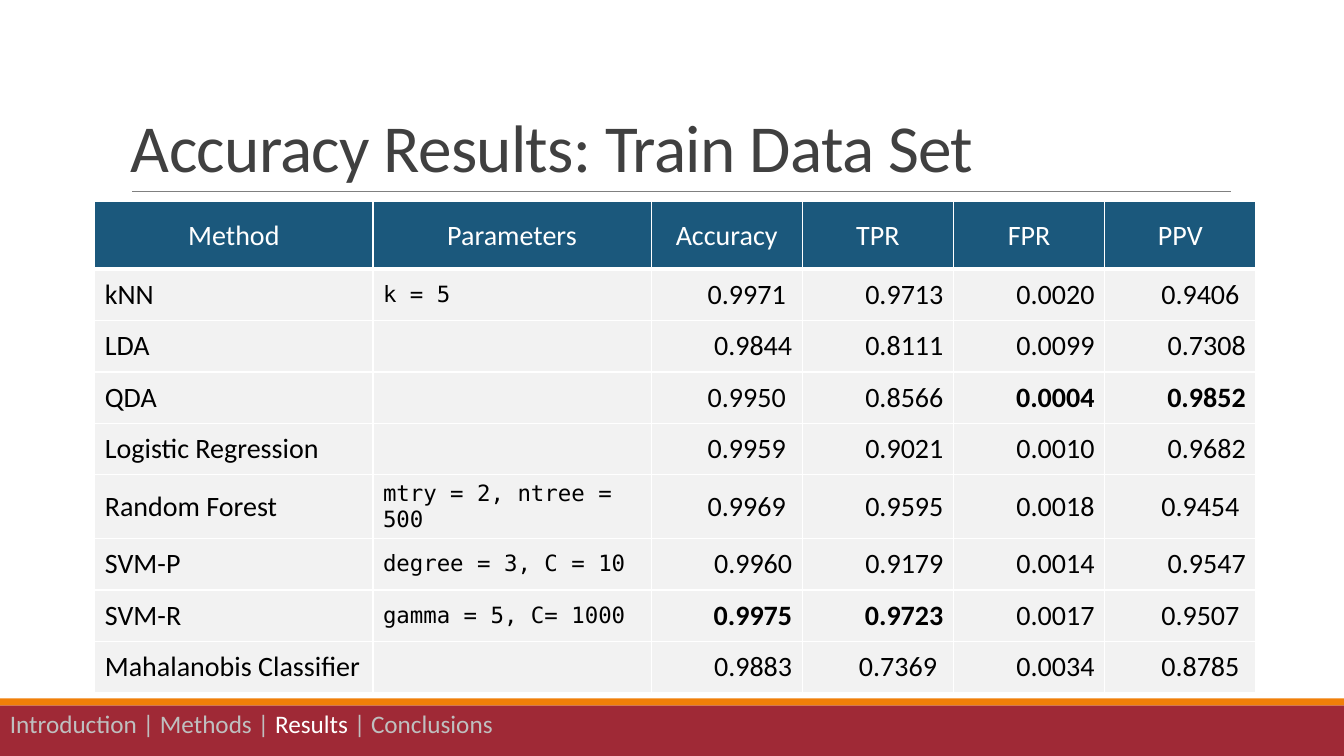
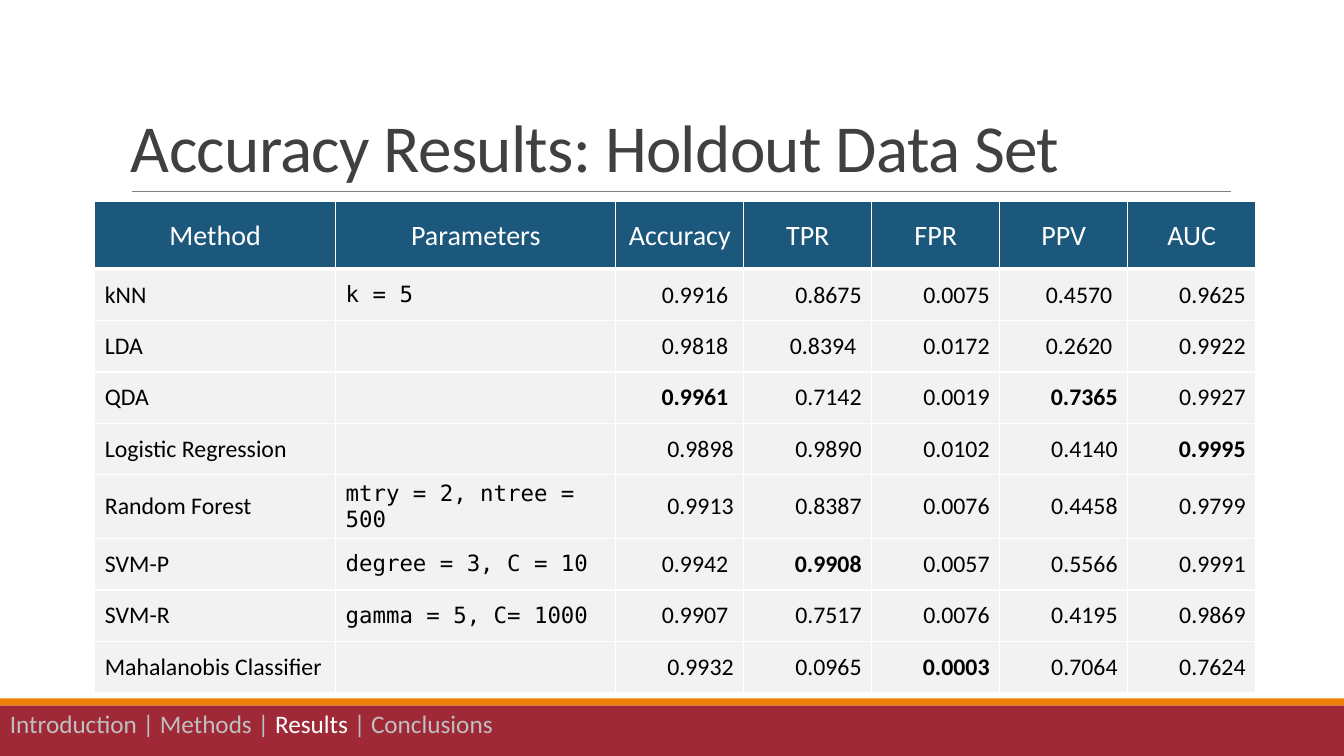
from lxml import etree
from pptx import Presentation
from pptx.dml.color import RGBColor
from pptx.enum.shapes import MSO_CONNECTOR, MSO_SHAPE
from pptx.enum.text import MSO_ANCHOR, PP_ALIGN
from pptx.oxml.ns import qn
from pptx.util import Inches, Pt

STRAIGHT = MSO_CONNECTOR.STRAIGHT
RECTANGLE = MSO_SHAPE.RECTANGLE
BOTTOM, MIDDLE = MSO_ANCHOR.BOTTOM, MSO_ANCHOR.MIDDLE
LEFT, CENTER, RIGHT = PP_ALIGN.LEFT, PP_ALIGN.CENTER, PP_ALIGN.RIGHT

SLIDE_BOX = (0, 0, Inches(13.33), Inches(7.5))
BODY_FONT, CODE_FONT = "Calibri", "DejaVu Sans Mono"
RED, ORANGE, NAVY, PALE = "9F2936", "F07F09", "1B587C", "F2F2F2"
RULE_GRAY, TITLE_GRAY, MUTED = "808080", "404040", "BFBFBF"
WHITE, BLACK = "FFFFFF", "000000"

SECTIONS = ["Introduction", "Methods", "Results", "Conclusions"]
HEADER_ROW, BODY_ROW = 0.67, 0.51
BOLD_MARK = "*"
METHODS = [
    ("kNN", "k = 5"),
    ("LDA", ""),
    ("QDA", ""),
    ("Logistic Regression", ""),
    ("Random Forest", "mtry = 2, ntree = 500"),
    ("SVM-P", "degree = 3, C = 10"),
    ("SVM-R", "gamma = 5, C= 1000"),
    ("Mahalanobis Classifier", ""),
]
RESULTS = [
    {
        "title": "Accuracy Results: Train Data Set",
        "measures": ["Accuracy", "TPR", "FPR", "PPV"],
        "columns": [2.76, 2.76] + [1.5] * 4,
        "size": 20,
        "values": [
            ["0.9971 ", "0.9713", "0.0020", "0.9406 "],
            ["0.9844", "0.8111", "0.0099", "0.7308"],
            ["0.9950 ", "0.8566", "*0.0004", "*0.9852"],
            ["0.9959 ", "0.9021", "0.0010", "0.9682"],
            ["0.9969 ", "0.9595", "0.0018", "0.9454 "],
            ["0.9960", "0.9179", "0.0014", "0.9547"],
            ["*0.9975", "*0.9723", "0.0017", "0.9507 "],
            ["0.9883", "0.7369 ", "0.0034", "0.8785 "],
        ],
    },
    {
        "title": "Accuracy Results: Holdout Data Set",
        "measures": ["Accuracy", "TPR", "FPR", "PPV", "AUC"],
        "columns": [2.39, 2.78] + [1.27] * 5,
        "size": 17,
        "values": [
            ["0.9916 ", "0.8675", "0.0075", "0.4570 ", "0.9625"],
            ["0.9818 ", "0.8394 ", "0.0172", "0.2620 ", "0.9922"],
            ["*0.9961 ", "0.7142", "0.0019", "*0.7365", "0.9927"],
            ["0.9898", "0.9890", "0.0102", "0.4140", "*0.9995"],
            ["0.9913", "0.8387", "0.0076", "0.4458", "0.9799"],
            ["0.9942 ", "*0.9908", "0.0057", "0.5566", "0.9991"],
            ["0.9907 ", "0.7517", "0.0076", "0.4195", "0.9869"],
            ["0.9932", "0.0965", "*0.0003", "0.7064", "0.7624"],
        ],
    },
]


def color(hex_string):
    """Turn a hex string into a colour."""
    return RGBColor.from_string(hex_string)


def part(box, left, top, width, height):
    """Return the part of a box given in percent of its size."""
    box_left, box_top, box_width, box_height = box
    return (
        round(box_left + box_width * left / 100),
        round(box_top + box_height * top / 100),
        round(box_width * width / 100),
        round(box_height * height / 100),
    )


def write_text(frame, text, size=18, ink=BLACK, font=BODY_FONT, bold=False,
               align=LEFT, line_spacing=None, tracking=None):
    """Append a formatted run to the first paragraph of a text frame."""
    paragraph = frame.paragraphs[0]
    paragraph.alignment = align
    if line_spacing:
        paragraph.line_spacing = line_spacing
    run = paragraph.add_run()
    run.text = text
    run.font.size = Pt(size)
    run.font.name = font
    run.font.bold = bold
    run.font.color.rgb = color(ink)
    if tracking:
        run.font._element.set("spc", str(round(tracking * 100)))


def add_band(slide, box, fill):
    """Draw a plain filled band."""
    band = slide.shapes.add_shape(RECTANGLE, *box)
    band.shadow.inherit = False
    band.fill.solid()
    band.fill.fore_color.rgb = color(fill)
    band.line.fill.background()


def add_text_box(slide, box):
    """Add a wrapping text box and return its text frame."""
    frame = slide.shapes.add_textbox(*box).text_frame
    frame.word_wrap = True
    return frame


def add_title(slide, box, title):
    """Write the title with a thin rule under it."""
    frame = add_text_box(slide, box)
    frame.vertical_anchor = BOTTOM
    write_text(frame, title, size=48, ink=TITLE_GRAY, line_spacing=0.85, tracking=-0.5)
    left, top, width, _ = part(box, 1, 100, 99.1, 0)
    rule = slide.shapes.add_connector(STRAIGHT, left, top, left + width, top)
    rule.line.color.rgb = color(RULE_GRAY)
    rule.line.width = Pt(0.5)
    etree.SubElement(rule._element.spPr, qn("a:effectLst"))


def add_footer(slide, box, current):
    """Draw the footer bands and the section trail."""
    add_band(slide, part(box, 0, 12, 100, 88), RED)
    add_band(slide, part(box, 0, 0, 100, 12), ORANGE)
    frame = add_text_box(slide, part(box, 0, 9, 99, 70))
    for index, section in enumerate(SECTIONS):
        if index:
            write_text(frame, " | ", ink=MUTED)
        write_text(frame, section, ink=WHITE if section == current else MUTED)


def set_borders(cell, bottom):
    """Give a cell white borders, with its own bottom width."""
    properties = cell._tc.get_or_add_tcPr()
    widths = {"lnL": 1, "lnR": 1, "lnT": 1, "lnB": bottom}
    for index, (side, width) in enumerate(widths.items()):
        line = etree.Element(qn(f"a:{side}"), w=str(Pt(width)))
        fill = etree.SubElement(line, qn("a:solidFill"))
        etree.SubElement(fill, qn("a:srgbClr"), val=WHITE)
        properties.insert(index, line)


def fill_cell(cell, text, fill, bottom=1, **text_format):
    """Fill, border and write one table cell."""
    cell.fill.solid()
    cell.fill.fore_color.rgb = color(fill)
    set_borders(cell, bottom)
    cell.vertical_anchor = MIDDLE
    if text:
        write_text(cell.text_frame, text, **text_format)


def add_results_table(slide, box, result):
    """Draw the table of methods, parameters and measures."""
    columns = result["columns"]
    rows = [HEADER_ROW] + [BODY_ROW] * len(METHODS)
    table = slide.shapes.add_table(len(rows), len(columns), *box).table
    for column, share in zip(table.columns, columns):
        column.width = round(box[2] * share / sum(columns))
    for row, share in zip(table.rows, rows):
        row.height = round(box[3] * share / sum(rows))

    headings = ["Method", "Parameters"] + result["measures"]
    for index, heading in enumerate(headings):
        fill_cell(table.cell(0, index), heading, NAVY, bottom=3,
                  size=20, ink=WHITE, align=CENTER)

    for index, (method, parameters) in enumerate(METHODS):
        row = index + 1
        fill_cell(table.cell(row, 0), method, PALE, size=result["size"])
        fill_cell(table.cell(row, 1), parameters, PALE, size=16, font=CODE_FONT)
        for column, value in enumerate(result["values"][index], start=2):
            fill_cell(table.cell(row, column), value.lstrip(BOLD_MARK), PALE,
                      size=result["size"], align=RIGHT,
                      bold=value.startswith(BOLD_MARK))


def add_results_slide(presentation, result):
    """Build one slide of accuracy results."""
    slide = presentation.slides.add_slide(presentation.slide_layouts[6])
    add_footer(slide, part(SLIDE_BOX, 0, 92.4, 100, 7.6), "Results")
    add_title(slide, part(SLIDE_BOX, 9, 4.13, 82.5, 21.2), result["title"])
    add_results_table(slide, part(SLIDE_BOX, 7.05, 26.7, 86.4, 63.3), result)


def main():
    """Build and save the presentation."""
    presentation = Presentation()
    presentation.slide_width, presentation.slide_height = SLIDE_BOX[2:]
    for result in RESULTS:
        add_results_slide(presentation, result)
    presentation.save("out.pptx")


if __name__ == "__main__":
    main()
